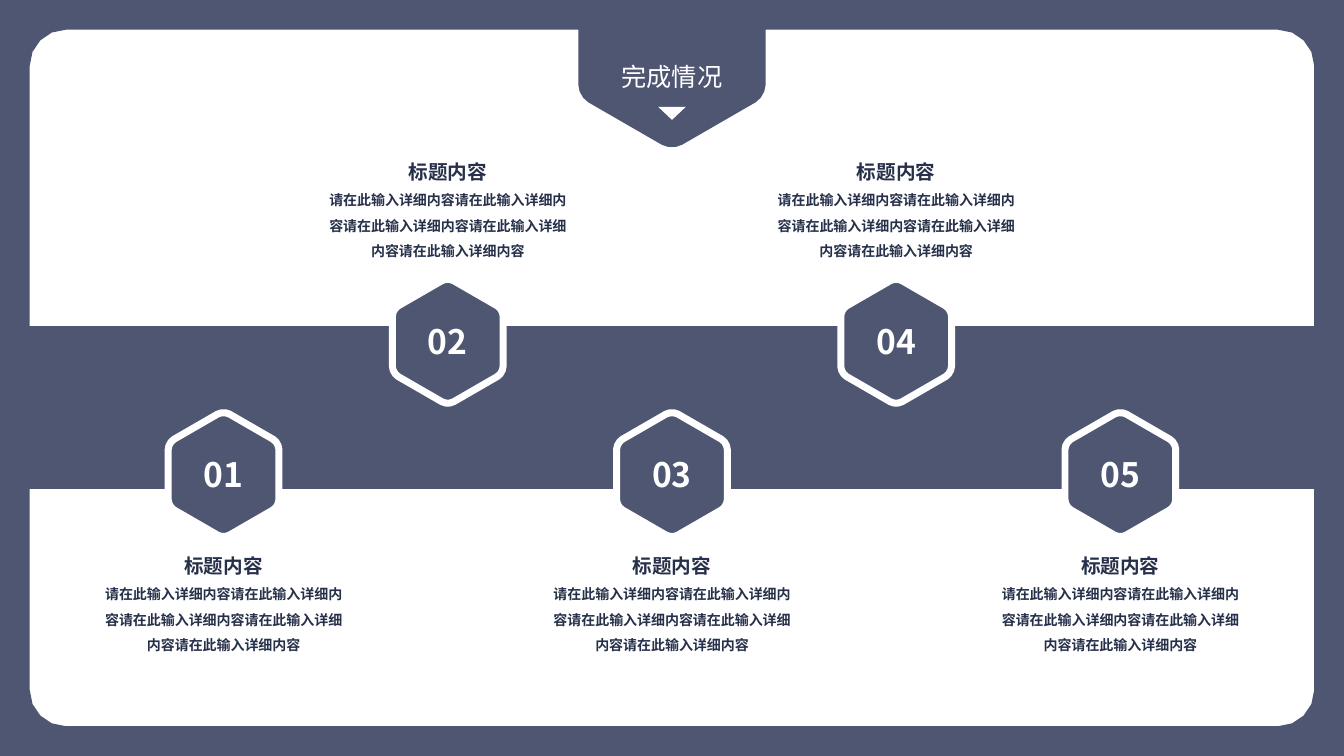
import math
from dataclasses import dataclass

import lxml.etree
import pptx
import pptx.dml.color
import pptx.enum.shapes
import pptx.enum.text
import pptx.oxml.ns
import pptx.util

Cm = pptx.util.Cm
Pt = pptx.util.Pt


@dataclass(frozen=True)
class Theme:
    slate: str = "4F5672"
    white: str = "FFFFFF"
    navy: str = "26304A"
    face: str = "Noto Sans CJK SC"
    title: int = 18
    number: int = 24
    head: int = 14
    body: int = 10


THEME = Theme()
WIDE, HIGH = 33.87, 19.05
MID = WIDE / 2
HEAD = "标题内容"
BODY = "请在此输入详细内容" * 5


def color(code):
    return pptx.dml.color.RGBColor.from_string(code)


def apply(item, values):
    for name, value in values.items():
        setattr(item, name, value)


def paint(shape, fill, line=None):
    shape.shadow.inherit = False
    shape.fill.solid()
    shape.fill.fore_color.rgb = color(fill)
    if line:
        shape.line.color.rgb = color(line)
        shape.line.width = Pt(5)
    else:
        shape.line.fill.background()


def write(frame, lines, ink, bold=False, space=None):
    """Fill a text frame with centred (text, size) lines."""
    apply(frame, {
        "word_wrap": True,
        "auto_size": pptx.enum.text.MSO_AUTO_SIZE.SHAPE_TO_FIT_TEXT,
        "vertical_anchor": pptx.enum.text.MSO_ANCHOR.TOP,
    })
    for i, (text, size) in enumerate(lines):
        para = frame.add_paragraph() if i else frame.paragraphs[0]
        apply(para, {"alignment": pptx.enum.text.PP_ALIGN.CENTER,
                     "line_spacing": space})
        run = para.add_run()
        run.text = text
        apply(run.font, {"size": Pt(size), "bold": bold, "name": THEME.face})
        run.font.color.rgb = color(ink)
        lxml.etree.SubElement(run._r.get_or_add_rPr(),
                              pptx.oxml.ns.qn("a:ea"), typeface=THEME.face)


def add_text(shapes, box, *args, **style):
    area = shapes.add_textbox(*map(Cm, box))
    write(area.text_frame, *args, **style)


def soften(nodes, cut, steps):
    """Round each corner of a polygon, starting the curve at cut from it."""
    points = []
    for i, node in enumerate(nodes):
        ends = []
        for other in (nodes[i - 1], nodes[(i + 1) % len(nodes)]):
            part = cut / math.dist(node, other)
            ends.append([n + (o - n) * part for n, o in zip(node, other)])
        for k in range(steps + 1):
            t = k / steps
            # Cubic curve with handles 0.55 of the way to the corner
            a = (1 - t) ** 3 + 1.35 * t * (1 - t) ** 2
            b = t ** 3 + 1.35 * t ** 2 * (1 - t)
            points.append([a * p + b * q + (1 - a - b) * n
                           for p, q, n in zip(*ends, node)])
    return points


def corners(left, top, right, low):
    return [(left, top), (right, top), (right, low), (left, low)]


def draw(shapes, *loops):
    """Build one freeform from closed loops of points."""
    loops = [[(Cm(x), Cm(y)) for x, y in loop] for loop in loops]
    pen = shapes.build_freeform(*loops[0][0])
    for i, loop in enumerate(loops):
        if i:
            pen.move_to(*loop[0])
        pen.add_line_segments(loop[1:], close=True)
    return pen.convert_to_shape()


def add_hex(shapes, x, y, width, cut, line=None):
    """Draw a rounded regular hexagon, point up, centred on x, y."""
    size = width / math.sqrt(3)
    nodes = [(x + size * math.sin(math.pi * k / 3),
              y - size * math.cos(math.pi * k / 3)) for k in range(6)]
    paint(draw(shapes, soften(nodes, cut, 3)), THEME.slate, line)


def add_frame(shapes, inset):
    hole = corners(inset, inset, WIDE - inset, HIGH - inset)
    paint(draw(shapes, soften(hole, 0.91, 4), corners(0, 0, WIDE, HIGH)),
          THEME.slate)


def add_tag(shapes, x, y, width):
    """Draw the title tag, a hexagon hanging from the top edge."""
    add_hex(shapes, x, y, width, 0.29)
    title = shapes.title
    title.element.getparent().append(title.element)
    apply(title, {"left": Cm(x - 1.86), "top": Cm(y + 0.35),
                  "width": Cm(3.72), "height": Cm(1.02)})
    write(title.text_frame, [("完成情况", THEME.title)], THEME.white)
    mark = shapes.add_shape(
        pptx.enum.shapes.MSO_SHAPE.ISOSCELES_TRIANGLE,
        Cm(x - 0.35), Cm(y + 1.62), Cm(0.7), Cm(0.33))
    mark.rotation = 180
    paint(mark, THEME.white)


def add_band(shapes, box):
    band = shapes.add_shape(pptx.enum.shapes.MSO_SHAPE.RECTANGLE,
                            *map(Cm, box))
    paint(band, THEME.slate)


def add_step(shapes, x, y, number, drop):
    """Place a numbered hexagon and its caption, drop below its centre."""
    badge = shapes.add_group_shape().shapes
    add_hex(badge, x, y, 2.79, 0.17, THEME.white)
    add_text(badge, (x - 0.84, y - 0.64, 1.68, 1.27),
             [(f"{number:02}", THEME.number)], THEME.white, bold=True)
    add_text(shapes, (x - 3.4, y + drop, 6.8, 3.07),
             [(HEAD, THEME.head), (BODY, THEME.body)],
             THEME.navy, bold=True, space=1.5)


def main():
    deck = pptx.Presentation()
    apply(deck, {"slide_width": Cm(WIDE), "slide_height": Cm(HIGH)})
    shapes = deck.slides.add_slide(deck.slide_layouts[5]).shapes
    add_frame(shapes, 0.75)
    add_tag(shapes, MID, 1.07, 4.72)
    add_band(shapes, (0.66, 8.22, 32.46, 4.1))
    for i in range(5):
        y, drop = (8.6, -4.99) if i % 2 else (11.96, 1.58)
        add_step(shapes, MID + (i - 2) * 5.65, y, i + 1, drop)
    deck.save("out.pptx")


if __name__ == "__main__":
    main()
